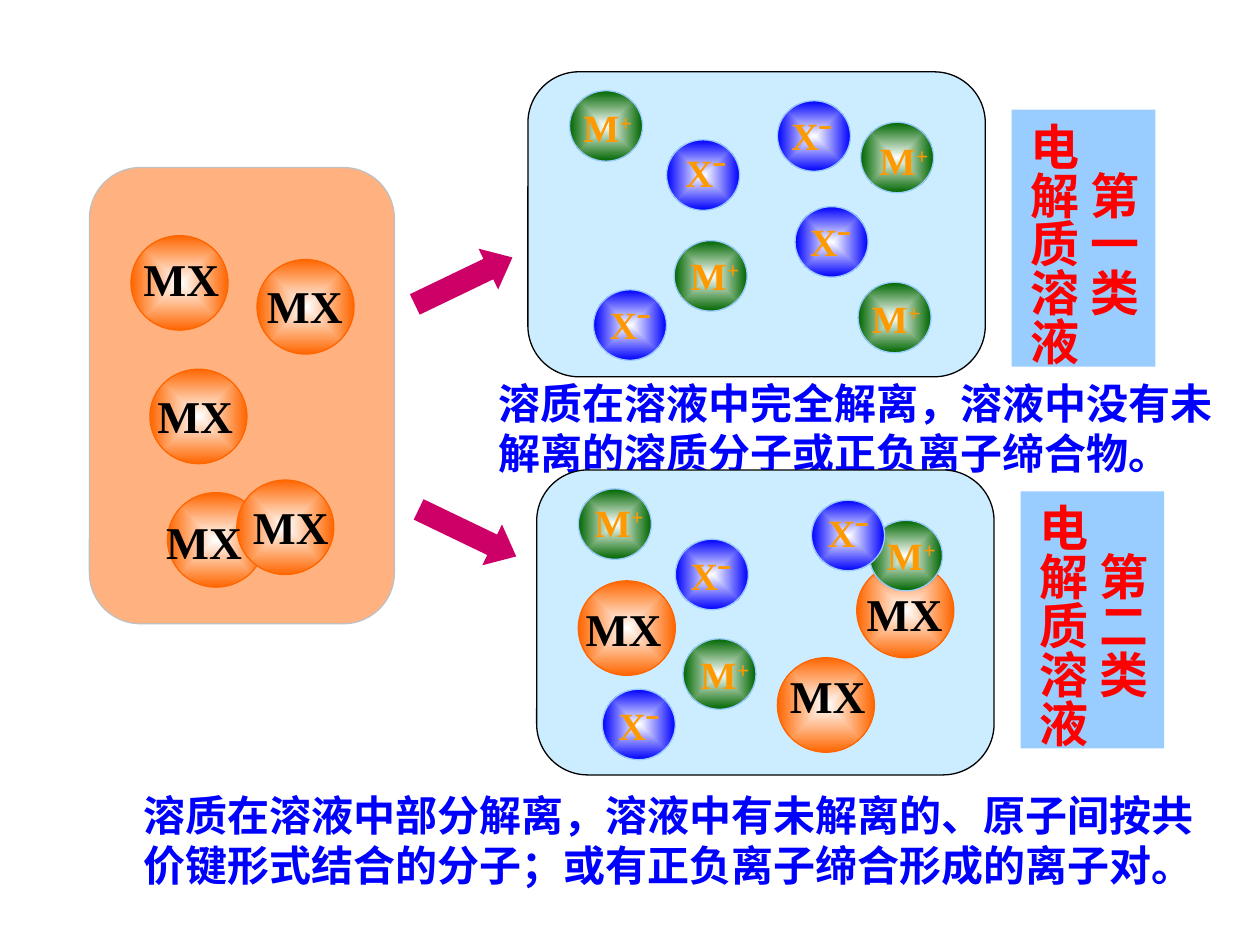
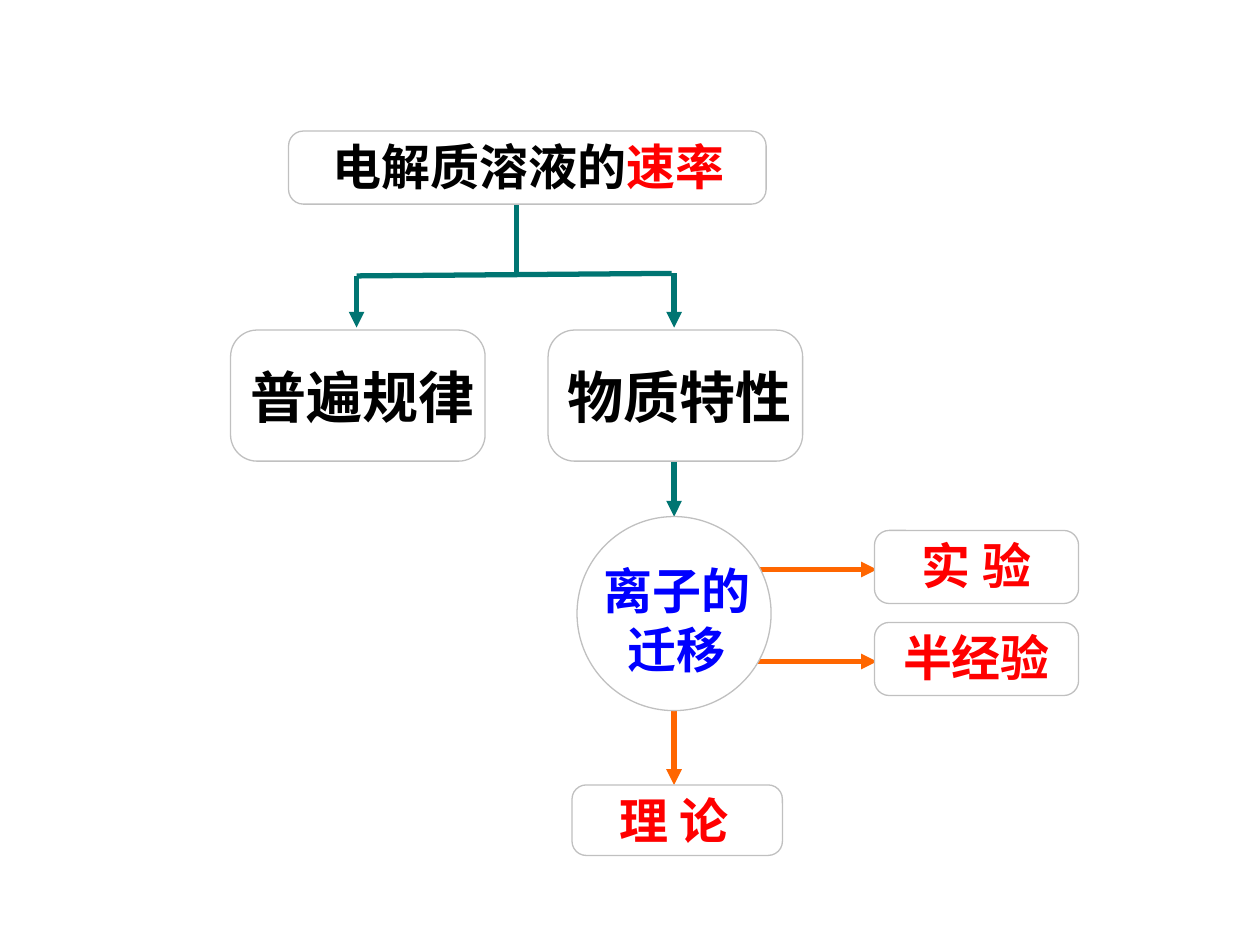
import pptx
import pptx.util
import pptx.dml.color
import pptx.enum.shapes
import pptx.enum.text
import pptx.oxml.ns
import lxml.etree

Inches = pptx.util.Inches
Pt = pptx.util.Pt
RGB = pptx.dml.color.RGBColor.from_string
qn = pptx.oxml.ns.qn
KIND = pptx.enum.shapes.MSO_SHAPE
ALIGN = pptx.enum.text.PP_ALIGN
MID = pptx.enum.text.MSO_ANCHOR.MIDDLE

HUE = {
    "white": "FFFFFF", "black": "000000", "red": "FF0000", "blue": "0000FF",
    "orange": "FF6600", "amber": "FF9900", "green": "006600", "teal": "007572",
    "sky": "99CCFF", "pale": "CCECFF", "gray": "C0C0C0", "pink": "CC0066",
}
SANS = "Noto Sans CJK SC"
SERIF = "Times New Roman"


def form(slide, kind, box, fill, edge=None, glow=False):
    shape = slide.shapes.add_shape(kind, *map(Inches, box))
    shape.shadow.inherit = False
    if glow:
        shape.fill.gradient()
        for stop, hue in zip(shape.fill.gradient_stops, ("white", fill)):
            stop.color.rgb = RGB(HUE[hue])
        grad = shape.fill._xPr.find(qn("a:gradFill"))
        grad.remove(grad.find(qn("a:lin")))
        path = lxml.etree.SubElement(grad, qn("a:path"), path="shape")
        half = dict.fromkeys("ltrb", "50000")
        lxml.etree.SubElement(path, qn("a:fillToRect"), half)
    else:
        shape.fill.solid()
        shape.fill.fore_color.rgb = RGB(HUE[fill])
    if edge:
        shape.line.color.rgb = RGB(HUE[edge])
        shape.line.width = Pt(0.75)
    else:
        shape.line.fill.background()
    return shape


def write(para, parts, size, face=SERIF, align=ALIGN.LEFT, pitch=None):
    para.alignment = align
    if pitch:
        para.line_spacing = Pt(pitch)
    for text, hue in parts:
        run = para.add_run()
        run.text = text
        run.font.size = Pt(size)
        run.font.bold = True
        run.font.name = face
        run.font.color.rgb = RGB(HUE[hue])
        props = run._r.get_or_add_rPr()
        lxml.etree.SubElement(props, qn("a:ea"), typeface=SANS)
        if text == "+":
            props.set("baseline", "30000")


deck = pptx.Presentation()
deck.slide_width = Inches(10)
deck.slide_height = Inches(7.5)
blank = deck.slide_layouts[6]

ions = deck.slides.add_slide(blank)

notes = [
    ((3.86, 2.94, 5.98, 0.91), "溶质在溶液中完全解离，溶液中没有未解离的溶质分子或正负离子缔合物。"),
    ((1.04, 6.21, 8.73, 0.91), "溶质在溶液中部分解离，溶液中有未解离的、原子间按共价键形式结合的分子；或有正负离子缔合形成的离子对。"),
]
for box, text in notes:
    frame = ions.shapes.add_textbox(*map(Inches, box)).text_frame
    frame.word_wrap = True
    write(frame.paragraphs[0], [(text, "blue")], 24, SANS, pitch=29)

tanks = [
    ((0.71, 1.33, 2.42, 3.62), "orange", "gray"),
    ((4.19, 0.57, 3.63, 2.42), "pale", "black"),
    ((4.26, 3.73, 3.63, 2.42), "pale", "black"),
]
for box, fill, edge in tanks:
    tank = form(ions, KIND.ROUNDED_RECTANGLE, box, fill, edge)
    tank.adjustments[0] = 0.167
    if fill == "orange":
        color = tank.fill._xPr.find(qn("a:solidFill"))[0]
        lxml.etree.SubElement(color, qn("a:alpha"), val="50000")

signs = [(8.03, 0.87, "第一类"), (8.1, 3.9, "第二类")]
for left, top, text in signs:
    sign = form(ions, KIND.RECTANGLE, (left, top, 1.14, 2.04), "sky")
    frame = sign.text_frame
    frame.word_wrap = False
    frame.vertical_anchor = MID
    frame._txBody.bodyPr.set("vert", "eaVert")
    for para, line in ((frame.paragraphs[0], text), (frame.add_paragraph(), "电解质溶液")):
        write(para, [(line, "red")], 28, SANS, ALIGN.CENTER, 34)

for left, top, turn in ((3.25, 2.05, -25.7), (3.28, 4.05, 25.7)):
    arrow = form(ions, KIND.RIGHT_ARROW, (left, top, 0.86, 0.36), "pink")
    arrow.adjustments[1] = 0.589
    arrow.rotation = turn

kinds = [
    ("orange", "orange", (0.77, 0.75), (1.03, 0.54), 26, [("MX", "black")], [
        (1.04, 1.87, 1.04, 1.94), (1.19, 2.93, 1.15, 3.03),
        (1.33, 3.91, 1.22, 4.03), (2.04, 2.06, 2.02, 2.16),
        (1.88, 3.81, 1.91, 3.91), (4.59, 4.61, 4.55, 4.72),
        (6.17, 5.22, 6.17, 5.25), (6.8, 4.47, 6.78, 4.6),
    ]),
    ("green", "sky", (0.58, 0.56), (0.72, 0.47), 22, [("M", "amber"), ("+", "amber")], [
        (4.52, 0.72, 4.53, 0.78), (6.81, 2.24, 6.82, 2.29),
        (6.83, 0.97, 6.88, 1.04), (5.35, 1.91, 5.38, 1.95),
        (4.59, 3.88, 4.62, 3.91), (5.42, 5.07, 5.46, 5.12),
        (6.9, 4.13, 6.94, 4.17),
    ]),
    ("blue", "sky", (0.58, 0.56), (0.72, 0.47), 22, [("Xˉ", "amber")], [
        (4.71, 2.3, 4.74, 2.34), (5.29, 1.11, 5.34, 1.13),
        (6.17, 0.8, 6.18, 0.84), (6.31, 1.64, 6.33, 1.68),
        (4.78, 5.47, 4.81, 5.52), (5.36, 4.28, 5.38, 4.33),
        (6.44, 3.97, 6.47, 3.99),
    ]),
]
for fill, edge, ball, area, size, parts, spots in kinds:
    for left, top, x, y in spots:
        form(ions, KIND.OVAL, (left, top, *ball), fill, edge, glow=True)
for fill, edge, ball, area, size, parts, spots in kinds:
    for left, top, x, y in spots:
        label = ions.shapes.add_textbox(*map(Inches, (x, y, *area)))
        label.text_frame.word_wrap = True
        write(label.text_frame.paragraphs[0], parts, size)

chart = deck.slides.add_slide(blank)

links = [
    (5.58, 5.25, 6.96, 5.25, "orange", True),
    (5.58, 4.52, 6.96, 4.52, "orange", True),
    (4.1, 1.6, 4.1, 2.17, "teal", False),
    (2.83, 2.19, 5.33, 2.17, "teal", False),
    (5.35, 2.17, 5.35, 2.6, "teal", True),
    (5.35, 5.38, 5.35, 6.23, "orange", True),
    (2.83, 2.19, 2.83, 2.6, "teal", True),
    (5.35, 3.67, 5.35, 4.1, "teal", True),
]
for *ends, hue, tip in links:
    link = chart.shapes.add_connector(
        pptx.enum.shapes.MSO_CONNECTOR.STRAIGHT, *map(Inches, ends))
    link.line.color.rgb = RGB(HUE[hue])
    link.line.width = Pt(3)
    if tip:
        lxml.etree.SubElement(link.line._get_or_add_ln(), qn("a:tailEnd"), type="triangle")
    lxml.etree.SubElement(link._element.spPr, qn("a:effectLst"))

nodes = [
    ((2.29, 1.04, 3.79, 0.58), (2.53, 1.03, 3.33, 0.57), 28,
     [("电解质溶液的", "black"), ("速率", "red")]),
    ((6.94, 4.21, 1.62, 0.58), (7.16, 4.2, 1.18, 0.57), 28, [("实 验", "red")]),
    ((6.94, 4.94, 1.62, 0.58), (7.06, 4.93, 1.38, 0.57), 28, [("半经验", "red")]),
    ((4.54, 6.23, 1.67, 0.56), (4.76, 6.22, 1.18, 0.57), 28, [("理 论", "red")]),
    ((1.83, 2.62, 2.02, 1.04), (1.82, 2.83, 2.11, 0.63), 32, [("普遍规律", "black")]),
    ((4.35, 2.62, 2.02, 1.04), (4.28, 2.83, 2.23, 0.63), 32, [("物质特性", "black")]),
    ((4.58, 4.1, 1.54, 1.54), (4.64, 4.4, 1.46, 1.03), 28, [("离子的迁移", "blue")]),
]
for box, area, size, parts in nodes:
    disc = box[2] == box[3]
    node = form(chart, KIND.OVAL if disc else KIND.ROUNDED_RECTANGLE, box, "white", "gray")
    if not disc:
        node.adjustments[0] = 0.202
    frame = chart.shapes.add_textbox(*map(Inches, area)).text_frame
    frame.word_wrap = disc or size == 32
    frame.vertical_anchor = MID
    frame.margin_top = frame.margin_bottom = 0
    write(frame.paragraphs[0], parts, size, align=ALIGN.CENTER, pitch=34 if disc else None)

deck.save("out.pptx")
